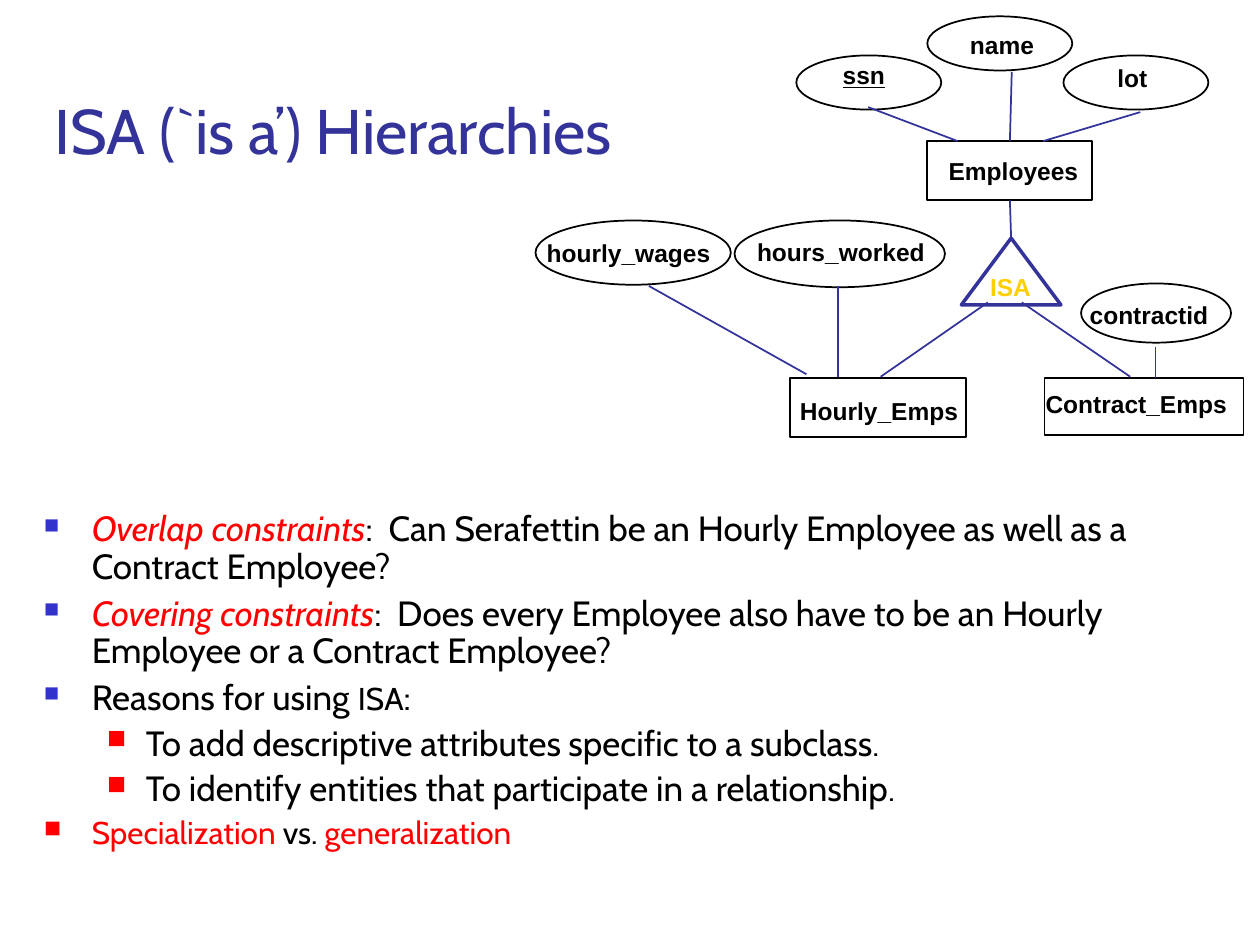
"""Build the ISA hierarchies slide: an entity diagram above a bullet list."""
from lxml.etree import SubElement as Sub
from pptx import Presentation
from pptx.dml.color import RGBColor as RGB
from pptx.enum.shapes import MSO_CONNECTOR as Conn, MSO_SHAPE as Kind
from pptx.enum.text import MSO_ANCHOR as Anchor, MSO_AUTO_SIZE as Auto, PP_ALIGN as Align
from pptx.oxml.ns import qn
from pptx.util import Pt

PX = 9144
HUES = {"ink": "000000", "navy": "333399", "blue": "3333CC",
        "red": "FF0000", "gold": "FFCF01"}


def scale(*nums):
    return [n * PX for n in nums]


def write(para, text, hue, **form):
    run = para.add_run()
    run.text = text
    for key, val in form.items():
        setattr(run.font, key, val)
    run.font.color.rgb = RGB.from_string(HUES[hue])


deck = Presentation()
deck.slide_width, deck.slide_height = scale(1000, 750)
slide = deck.slides.add_slide(deck.slide_layouts[5])
shapes = slide.shapes

title = shapes.title
title.left, title.top, title.width, title.height = scale(33, 42, 850, 121)
frame = title.text_frame
for key, val in {"auto_size": Auto.NONE, "word_wrap": True,
                 "vertical_anchor": Anchor.MIDDLE}.items():
    setattr(frame, key, val)
para = frame.paragraphs[0]
para.alignment = Align.LEFT
write(para, "ISA (`is a’) Hierarchies", "navy", name="Cabin", size=Pt(36))

nodes = {}
for name, kind, box, spot, hue in [
    ("ssn", Kind.OVAL, (632, 44, 115, 43), (659, 43, 57), "ink"),
    ("lot", Kind.OVAL, (844, 44, 115, 43), (877, 45, 46), "ink"),
    ("name", Kind.OVAL, (736, 13, 115, 43), (760, 19, 73), "ink"),
    ("Employees", Kind.RECTANGLE, (736, 112, 131, 47), (743, 119, 125), "ink"),
    ("hourly_wages", Kind.OVAL, (425, 175, 155, 51), (424, 184, 152), "ink"),
    ("hours_worked", Kind.OVAL, (583, 175, 167, 53), (591, 183, 155), "ink"),
    ("contractid", Kind.OVAL, (858, 225, 119, 47), (855, 233, 116), "ink"),
    ("Hourly_Emps", Kind.RECTANGLE, (627, 300, 140, 47), (625, 309, 148), "ink"),
    ("Contract_Emps", Kind.RECTANGLE, (829, 300, 158, 45), (820, 304, 166), "ink"),
    ("ISA", Kind.ISOSCELES_TRIANGLE, (763, 189, 79, 53), (776, 211, 56), "gold"),
]:
    node = nodes[name] = shapes.add_shape(kind, *scale(*box))
    node.shadow.inherit = False
    node.fill.background()
    node.line.color.rgb = RGB.from_string(HUES["navy" if name == "ISA" else "ink"])
    node.line.width = Pt(2 if name == "ISA" else 1)
    label = shapes.add_textbox(*scale(*spot, 33))
    label.text_frame.word_wrap = False
    label.text_frame.auto_size = Auto.NONE
    write(label.text_frame.paragraphs[0], name, hue, name="Arial", size=Pt(14),
          bold=True, underline=True if name == "ssn" else None)

links = []
for ends in [
    (689, 85, 760, 112), (803, 57, 803, 112), (905, 89, 828, 112),
    (515, 227, 640, 297), (784, 240, 699, 299), (811, 240, 897, 299),
    (917, 275, 917, 300), (665, 227, 665, 299), (802, 189, 802, 159),
]:
    link = shapes.add_connector(Conn.STRAIGHT, *scale(*ends))
    link.line.color.rgb = RGB.from_string(HUES["navy"])
    link.line.width = Pt(1)
    Sub(link._element.spPr, qn("a:effectLst"))
    links.append(link)
links[1].end_connect(nodes["Employees"], 0)
links[-1].begin_connect(nodes["ISA"], 0)
links[-1].end_connect(nodes["Employees"], 2)

body = shapes.add_textbox(*scale(25, 401, 942, 299)).text_frame
body.word_wrap = True
for row, (level, mark, runs) in enumerate([
    (0, "blue", [("Overlap constraints", "red", 20, True),
                 (":  Can Serafettin be an Hourly Employee as well as a "
                  "Contract Employee?", "ink", 20, False)]),
    (0, "blue", [("Covering constraints", "red", 20, True),
                 (":  Does every Employee also have to be an Hourly "
                  "Employee or a Contract Employee?", "ink", 20, False)]),
    (0, "blue", [("Reasons for using ", "ink", 20, False),
                 ("ISA", "ink", 18, False), (":", "ink", 20, False)]),
    (1, "red", [("To add descriptive attributes", "ink", 20, False),
                (" ", "ink", 18, False),
                ("specific to a subclass", "ink", 20, False),
                (".", "ink", 18, False)]),
    (1, "red", [("To identify entities that participate in a relationship",
                 "ink", 20, False), (".", "ink", 18, False)]),
    (0, "red", [("Specialization", "red", 18, False),
                (" vs. ", "ink", 18, False),
                ("generalization", "red", 18, False)]),
]):
    para = body.add_paragraph() if row else body.paragraphs[0]
    for key, val in {"level": level, "line_spacing": 0.9,
                     "space_before": Pt(5 if mark == "blue" else 4.5)}.items():
        setattr(para, key, val)
    props = para._p.get_or_add_pPr()
    left, hang = ((38, 38), (81, 31))[level]
    props.set("marL", str(left * PX))
    props.set("indent", str(-hang * PX))
    Sub(Sub(props, qn("a:buClr")), qn("a:srgbClr"), val=HUES[mark])
    Sub(props, qn("a:buSzPct"), val="60000" if mark == "blue" else "75000")
    Sub(props, qn("a:buChar"), char="■")
    for text, hue, size, slant in runs:
        write(para, text, hue, name="Cabin", size=Pt(size), italic=slant)

deck.save("out.pptx")
